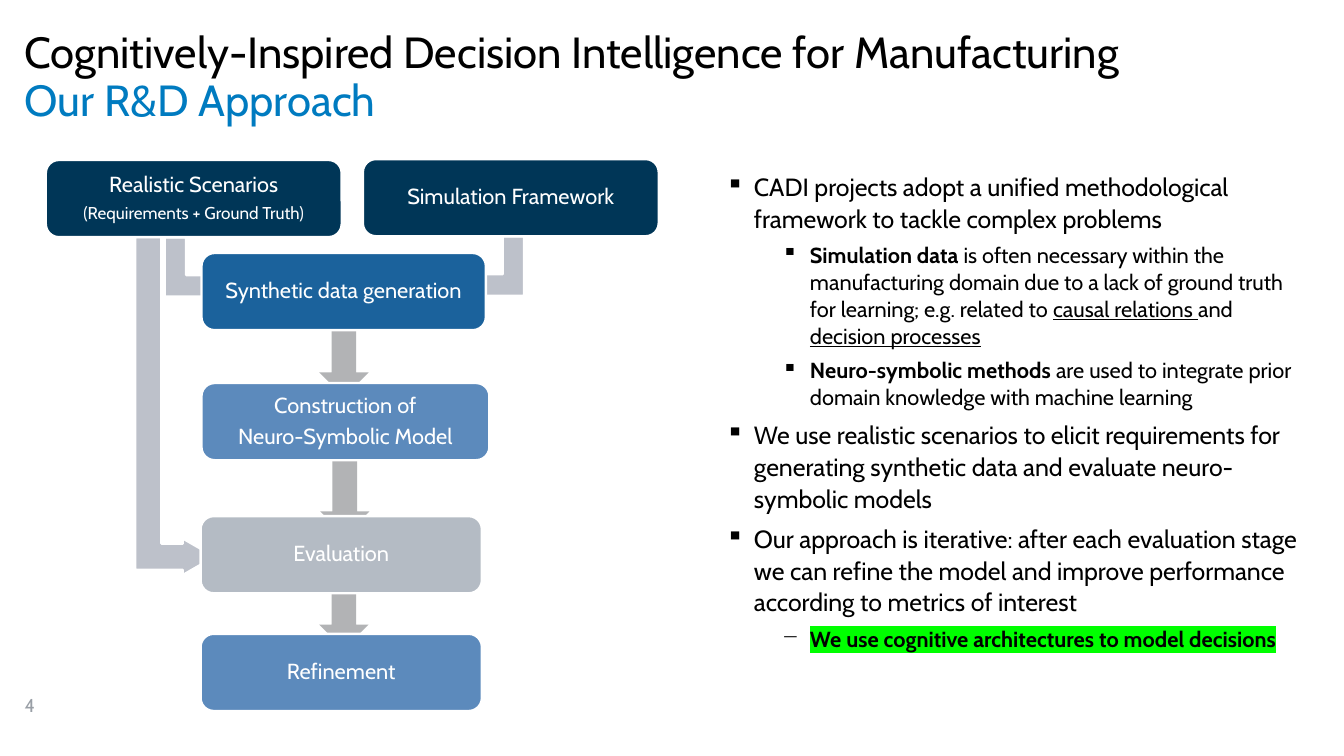
from lxml.etree import SubElement
from pptx import Presentation
from pptx.dml.color import RGBColor
from pptx.enum.shapes import MSO_SHAPE
from pptx.enum.text import MSO_ANCHOR, MSO_AUTO_SIZE, PP_ALIGN
from pptx.oxml.ns import qn
from pptx.util import Cm, Pt

FONT = "Cabin"
HEADING = "Cognitively-Inspired Decision Intelligence for Manufacturing"
SUBHEADING = "Our R&D Approach"
PAGE_NUMBER = "4"

# All places are left, top, width, height in centimetres.
DOWN_ARROWS = [
    (7.24, 12.7, 1.12, 2.03),
    (7.24, 7.26, 1.12, 1.75),
    (7.26, 10.13, 1.12, 2.03),
]
# Place, rotation, mirrored, adjustments
BENT_ARROWS = [
    ((0.13, 8.31, 7.67, 1.8), 90, False, (0.33, 0.23, 0.4)),
    ((10.31, 5.26, 1.47, 1.68), 270, True, (0.33, 0.25, 0.36)),
    ((3.84, 5.28, 1.47, 1.68), 90, False, (0.33, 0.25, 0.36)),
]
STEP_HEIGHT = 1.75
# Left, top, width, fill, lines of (text, size)
STEPS = [
    (1.04, 3.63, 6.71, "003657",
     [("Realistic Scenarios", 14), ("(Requirements + Ground Truth)", 11)]),
    (4.57, 5.74, 6.45, "1B629C", [("Synthetic data generation", 14)]),
    (4.57, 8.69, 6.53, "5C8ABC",
     [("Construction of", 14), ("Neuro-Symbolic Model", 14)]),
    (4.55, 11.71, 6.38, "B4BBC4", [("Evaluation", 14)]),
    (4.55, 14.38, 6.38, "5C8ABC", [("Refinement", 14)]),
    (8.23, 3.61, 6.71, "003657", [("Simulation Framework", 14)]),
]
# Level, bullet, spans of (text, style)
POINTS = [
    (0, "▪", [("CADI projects adopt a unified methodological framework "
               "to tackle complex problems", "")]),
    (1, "▪", [("Simulation data ", "bold"),
              ("is often necessary within the manufacturing domain due to a "
               "lack of ground truth for learning; e.g. related to ", ""),
              ("causal relations ", "underline"),
              ("and ", ""),
              ("decision processes", "underline")]),
    (1, "▪", [("Neuro-symbolic methods ", "bold"),
              ("are used to integrate prior domain knowledge with machine "
               "learning", "")]),
    (0, "▪", [("We use realistic scenarios to elicit requirements for "
               "generating synthetic data and evaluate neuro-symbolic "
               "models", "")]),
    (0, "▪", [("Our approach is iterative: after each evaluation stage we can "
               "refine the model and improve performance according to metrics "
               "of interest", "")]),
    (1, "−", [("We use cognitive architectures to model decisions",
               "bold highlight")]),
]
# Size, line spacing, left margin in cm for each level
LEVELS = [(16, 1.07, 0.64), (14, 1.03, 1.91)]
HANGING = 0.64


def color(hex_value):
    return RGBColor.from_string(hex_value)


def set_font(paragraph, size, hex_value):
    paragraph.font.name = FONT
    paragraph.font.size = Pt(size)
    paragraph.font.color.rgb = color(hex_value)


def prepare_frame(box):
    """Wrap the text from the top left corner, without insets."""
    frame = box.text_frame
    frame.word_wrap = True
    frame.auto_size = MSO_AUTO_SIZE.NONE
    frame.vertical_anchor = MSO_ANCHOR.TOP
    frame.margin_left = frame.margin_right = 0
    frame.margin_top = frame.margin_bottom = 0
    return frame


def add_text_box(page, place):
    return prepare_frame(page.shapes.add_textbox(*map(Cm, place)))


def write_line(frame, text, size, hex_value, spacing=1.0):
    paragraph = frame.paragraphs[0]
    paragraph.text = text
    paragraph.alignment = PP_ALIGN.LEFT
    paragraph.line_spacing = spacing
    set_font(paragraph, size, hex_value)


def add_shape(page, preset, place, fill, outline=True):
    shape = page.shapes.add_shape(preset, *map(Cm, place))
    shape.shadow.inherit = False
    shape.fill.solid()
    shape.fill.fore_color.rgb = color(fill)
    if outline:
        shape.line.color.rgb = color("FFFFFF")
        shape.line.width = Pt(1.5)
    else:
        shape.line.fill.background()
    return shape


def add_headings(page):
    write_line(add_text_box(page, (0.56, 0.71, 29.34, 1.09)),
               HEADING, 28, "000000", 0.89)
    title = page.shapes.title
    title.left, title.top, title.width, title.height = map(
        Cm, (0.56, 1.8, 29.34, 1.09))
    write_line(prepare_frame(title), SUBHEADING, 28, "007BC0", 0.89)


def add_arrows(page):
    for place in DOWN_ARROWS:
        add_shape(page, MSO_SHAPE.DOWN_ARROW, place, "B2B3B5", outline=False)
    for place, rotation, mirrored, adjustments in BENT_ARROWS:
        arrow = add_shape(page, MSO_SHAPE.BENT_UP_ARROW, place, "BDC1CA")
        arrow.rotation = rotation
        for index, value in enumerate(adjustments):
            arrow.adjustments[index] = value
        if mirrored:
            arrow.element.spPr.xfrm.set("flipH", "1")


def add_step(page, left, top, width, fill, lines):
    box = add_shape(page, MSO_SHAPE.ROUNDED_RECTANGLE,
                    (left, top, width, STEP_HEIGHT), fill)
    box.adjustments[0] = 0.17
    frame = box.text_frame
    frame.word_wrap = True
    frame.vertical_anchor = MSO_ANCHOR.MIDDLE
    for index, (text, size) in enumerate(lines):
        paragraph = frame.add_paragraph() if index else frame.paragraphs[0]
        paragraph.text = text
        paragraph.alignment = PP_ALIGN.CENTER
        paragraph.line_spacing = 0.9
        if index:
            paragraph.space_before = Pt(5)
        set_font(paragraph, size, "FFFFFF")


def set_bullet(paragraph, character, margin):
    properties = paragraph._p.get_or_add_pPr()
    properties.set("marL", str(Cm(margin)))
    properties.set("indent", str(-Cm(HANGING)))
    SubElement(properties, qn("a:buChar")).set("char", character)


def add_span(paragraph, text, style):
    span = paragraph.add_run()
    span.text = text
    if "bold" in style:
        span.font.bold = True
    if "underline" in style:
        span.font.underline = True
    if "highlight" in style:
        highlight = SubElement(span.font._element, qn("a:highlight"))
        SubElement(highlight, qn("a:srgbClr")).set("val", "00FF00")


def add_points(page):
    frame = add_text_box(page, (16.46, 3.84, 13.16, 11.89))
    for index, (level, bullet, spans) in enumerate(POINTS):
        size, spacing, margin = LEVELS[level]
        paragraph = frame.add_paragraph() if index else frame.paragraphs[0]
        paragraph.level = level
        paragraph.line_spacing = spacing
        if index:
            paragraph.space_before = Pt(5)
        set_bullet(paragraph, bullet, margin)
        set_font(paragraph, size, "000000")
        for text, style in spans:
            add_span(paragraph, text, style)


def main():
    deck = Presentation()
    deck.slide_width, deck.slide_height = Cm(30.48), Cm(17.15)
    page = deck.slides.add_slide(deck.slide_layouts[5])
    add_headings(page)
    add_arrows(page)
    for step in STEPS:
        add_step(page, *step)
    add_points(page)
    write_line(add_text_box(page, (0.56, 15.75, 0.81, 1.14)),
               PAGE_NUMBER, 12, "999FA6")
    deck.save("out.pptx")


if __name__ == "__main__":
    main()
